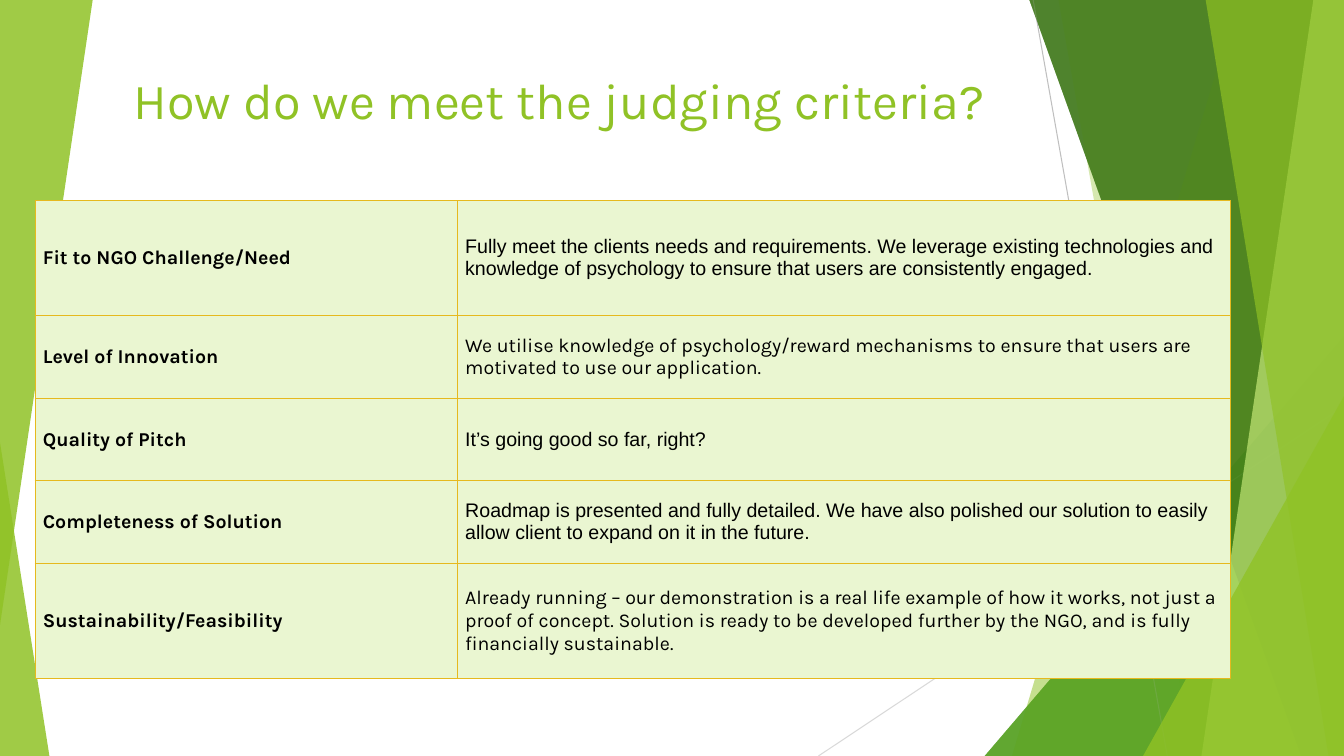
from lxml import etree
from pptx import Presentation
from pptx.dml.color import RGBColor
from pptx.enum.shapes import MSO_CONNECTOR as Link, MSO_SHAPE as Form
from pptx.enum.text import MSO_ANCHOR as Anchor, PP_ALIGN as Align
from pptx.oxml import parse_xml
from pptx.oxml.ns import nsdecls, qn
from pptx.util import Pt

WIDE, HIGH, TOP = 960, 540, -0.6
LIME = RGBColor(0x90, 0xC2, 0x26)
GREEN = RGBColor(0x54, 0xA0, 0x21)
DARK = RGBColor(0x3F, 0x78, 0x19)
LIGHT = RGBColor(0xC0, 0xE4, 0x74)
PALE = RGBColor(0xEA, 0xF6, 0xD1)
GOLD = RGBColor(0xE6, 0xB9, 0x1E)
GREY = RGBColor(0xBF, 0xBF, 0xBF)
SILVER = RGBColor(0xD9, 0xD9, 0xD9)
BLACK = RGBColor(0, 0, 0)

# Bands run to the right edge: top x, bottom x, colour, opacity
BACK_BANDS = [(884.2, 722.9, LIME, 30), (756, 851.8, LIME, 20)]
FRONT_BANDS = [
    (735.1, 929.5, DARK, 70),
    (938.2, 858.2, LIGHT, 70),
    (861.1, 949, LIME, 65),
]
COLS = [301.7, 552.2]
ROWS = [82.2, 59, 59, 59, 82.2]
# Criterion, answer, font of the answer
ITEMS = [
    ("Fit to NGO Challenge/Need",
     "Fully meet the clients needs and requirements. We leverage existing "
     "technologies and knowledge of psychology to ensure that users are "
     "consistently engaged.", "Arial"),
    ("Level of Innovation",
     "We utilise knowledge of psychology/reward mechanisms to ensure that "
     "users are motivated to use our application.", "Karla"),
    ("Quality of Pitch", "It’s going good so far, right?", "Arial"),
    ("Completeness of Solution",
     "Roadmap is presented and fully detailed. We have also polished our "
     "solution to easily allow client to expand on it in the future.",
     "Arial"),
    ("Sustainability/Feasibility",
     "Already running – our demonstration is a real life example of how it "
     "works, not just a proof of concept. Solution is ready to be developed "
     "further by the NGO, and is fully financially sustainable.", "Karla"),
]


def paint(shape, color, alpha):
    shape.shadow.inherit = False
    shape.fill.solid()
    shape.fill.fore_color.rgb = color
    shape.line.fill.background()
    tint = shape._element.spPr.find(qn("a:solidFill"))[0]
    etree.SubElement(tint, qn("a:alpha"), val=str(alpha * 1000))


def add_band(slide, top, base, color, alpha):
    pen = slide.shapes.build_freeform(Pt(top), Pt(TOP), scale=1.0)
    pen.add_line_segments(
        [(Pt(WIDE), Pt(TOP)), (Pt(WIDE), Pt(HIGH)), (Pt(base), Pt(HIGH))],
        close=True)
    paint(pen.convert_to_shape(), color, alpha)


def add_wedge(slide, box, peak, color, alpha, turn=0):
    wedge = slide.shapes.add_shape(Form.ISOSCELES_TRIANGLE, *map(Pt, box))
    wedge.adjustments[0] = peak
    wedge.rotation = turn
    paint(wedge, color, alpha)


def add_line(slide, ends, color):
    line = slide.shapes.add_connector(Link.STRAIGHT, *map(Pt, ends))
    line.line.color.rgb = color
    line.line.width = Pt(0.75)
    etree.SubElement(line._element.spPr, qn("a:effectLst"))


def add_corner(slide, left, top, color, alpha):
    add_wedge(slide, (left, top, WIDE - left, HIGH - top), 1, color, alpha)


def add_facets(slide):
    for band in BACK_BANDS:
        add_band(slide, *band)
    add_corner(slide, 703.4, 239.8, GREEN, 72)
    for band in FRONT_BANDS:
        add_band(slide, *band)
    add_corner(slide, 816.5, 283, LIME, 80)


def add_title(slide, text):
    frame = slide.shapes.add_textbox(
        Pt(73.4), Pt(10.1), Pt(652.3), Pt(86.4)).text_frame
    frame.word_wrap = True
    frame.vertical_anchor = Anchor.BOTTOM
    para = frame.paragraphs[0]
    para.text = text
    para.alignment = Align.CENTER
    para.line_spacing = 0.9
    style(para, "Karla", 36, LIME)


def style(para, name, size, color, bold=False):
    font = para.font
    font.name, font.size, font.bold = name, Pt(size), bold
    font.color.rgb = color


def fill_cell(cell, text, name, bold):
    cell.text = text
    cell.vertical_anchor = Anchor.MIDDLE
    cell.margin_left = cell.margin_right = Pt(5.4)
    cell.margin_top = cell.margin_bottom = Pt(2.7)
    style(cell.text_frame.paragraphs[0], name, 14, BLACK, bold)
    props = cell._tc.get_or_add_tcPr()
    for side in "LRTB":
        props.append(parse_xml(
            f'<a:ln{side} {nsdecls("a")} w="{Pt(1)}"><a:solidFill>'
            f'<a:srgbClr val="{GOLD}"/></a:solidFill></a:ln{side}>'))
    cell.fill.solid()
    cell.fill.fore_color.rgb = PALE


def add_grid(slide):
    table = slide.shapes.add_table(
        len(ROWS), len(COLS), Pt(25.2), Pt(143.3),
        Pt(sum(COLS)), Pt(sum(ROWS))).table
    table.first_row = table.horz_banding = False
    for col, width in zip(table.columns, COLS):
        col.width = Pt(width)
    for row, height, (label, answer, name) in zip(table.rows, ROWS, ITEMS):
        row.height = Pt(height)
        fill_cell(row.cells[0], label, "Karla", True)
        fill_cell(row.cells[1], answer, name, False)


def main():
    deck = Presentation()
    deck.slide_width, deck.slide_height = Pt(WIDE), Pt(HIGH)
    slide = deck.slides.add_slide(deck.slide_layouts[6])

    # Lower layer of facets
    add_facets(slide)
    add_wedge(slide, (0, 316.1, 35.3, 223.9), 0, LIME, 85)

    # Upper layer, above two thin lines
    add_line(slide, (738, 0, 833.8, HIGH), GREY)
    add_line(slide, (WIDE, 290.2, 584.6, HIGH), SILVER)
    add_facets(slide)
    add_wedge(slide, (0, 0, 66.2, 446.4), 1, LIME, 85, turn=180)

    # Content
    add_title(slide, "How do we meet the judging criteria?")
    add_grid(slide)
    deck.save("out.pptx")


if __name__ == "__main__":
    main()
